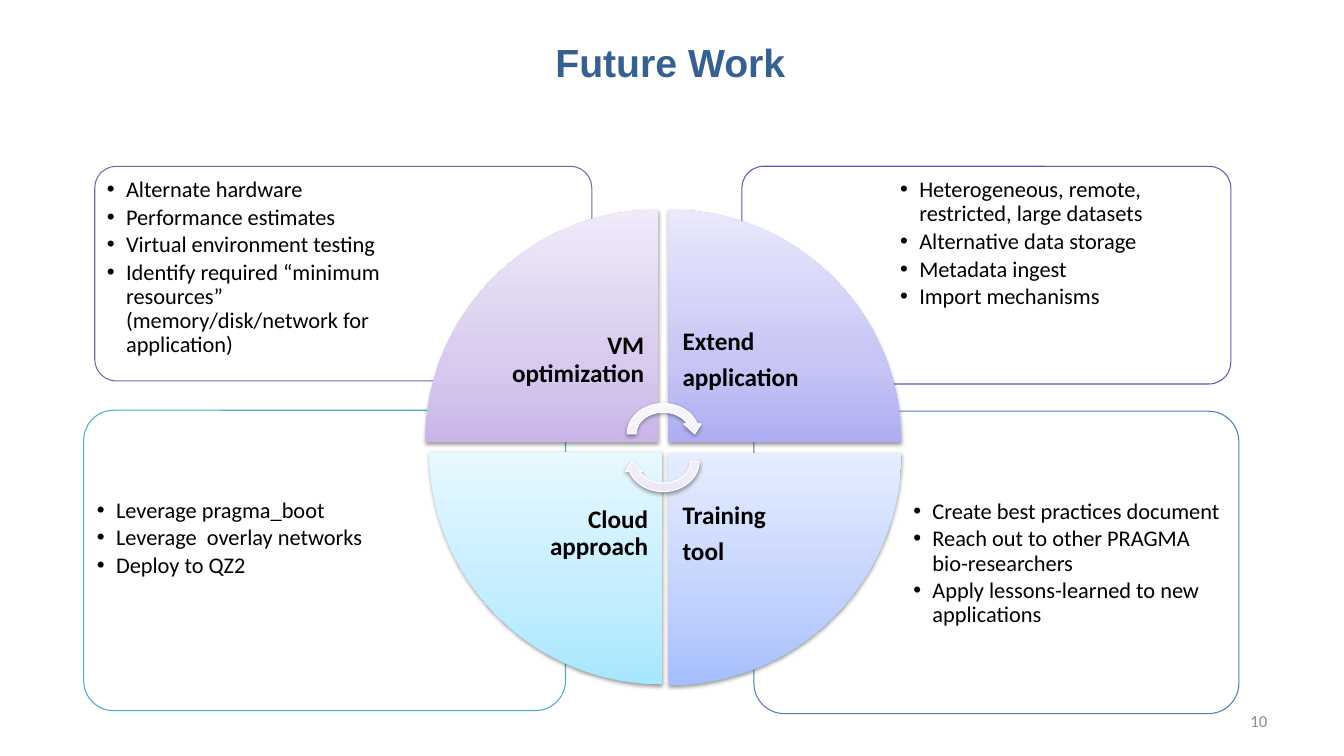
from dataclasses import dataclass

from lxml import etree
from pptx import Presentation, util as u
from pptx.dml.color import RGBColor
from pptx.enum import shapes, text
from pptx.oxml import parse_xml
from pptx.oxml.ns import nsdecls, qn

SHAPE, ALIGN, ANCHOR = shapes.MSO_SHAPE, text.PP_ALIGN, text.MSO_ANCHOR


@dataclass(frozen=True)
class Theme:
    heading_font: str = "Arial"
    body_font: str = "Calibri"
    title_size: float = 28
    label_size: float = 18
    bullet_size: float = 16
    number_size: float = 12
    title: str = "376092"
    ink: str = "000000"
    muted: str = "8C8C8C"
    white: str = "FFFFFF"
    arrow: tuple = ("EBE5F6", "F0ECF8", "F9F7FD")


THEME = Theme()
WEDGE_W, WEDGE_H = 17.33, 30.8
LABEL_W, LABEL_H = 12.23, 21.73


def write(tf, lines, size, color=THEME.ink, font=THEME.body_font, bold=False,
          align=ALIGN.LEFT, anchor=ANCHOR.TOP, inset=None, spacing=None, after=0, bullet=False):
    """Fill a text frame with one paragraph per line."""
    tf.word_wrap = True
    tf.vertical_anchor = anchor
    if inset is not None:
        tf.margin_left = tf.margin_right = tf.margin_top = tf.margin_bottom = u.Inches(inset)
    for i, line in enumerate(lines):
        p = tf.add_paragraph() if i else tf.paragraphs[0]
        if bullet:
            pPr = p._p.get_or_add_pPr()
            indent = u.Inches(0.19)
            pPr.set("marL", str(indent))
            pPr.set("indent", str(-indent))
            etree.SubElement(pPr, qn("a:buFont"), typeface="Arial")
            etree.SubElement(pPr, qn("a:buChar"), char="•")
        p.alignment = align
        p.space_after = u.Pt(after)
        if spacing:
            p.line_spacing = spacing
        r = p.add_run()
        r.text = line
        r.font.name, r.font.size, r.font.bold = font, u.Pt(size), bold
        r.font.color.rgb = RGBColor.from_string(color)


class Deck:
    """Holds the theme and current slide; places are percent of slide width and height."""

    def __init__(self, theme):
        self.theme = theme
        self.prs = Presentation()
        self.prs.slide_width, self.prs.slide_height = u.Inches(13.33), u.Inches(7.5)
        self.s = self.prs.slides.add_slide(self.prs.slide_layouts[5])

    def place(self, x, y, w, h):
        col, row = self.prs.slide_width / 100, self.prs.slide_height / 100
        return round(x * col), round(y * row), round(w * col), round(h * row)

    def title(self, words, at):
        sp = self.s.shapes.title
        sp.left, sp.top, sp.width, sp.height = self.place(*at)
        write(sp.text_frame, [words], self.theme.title_size, self.theme.title,
              self.theme.heading_font, bold=True, align=ALIGN.CENTER, anchor=ANCHOR.MIDDLE)

    def text(self, lines, at, size, **style):
        write(self.s.shapes.add_textbox(*self.place(*at)).text_frame, lines, size, **style)

    def panel(self, at, line):
        sp = self.s.shapes.add_shape(SHAPE.ROUNDED_RECTANGLE, *self.place(*at))
        sp.adjustments[0] = 0.1
        sp.shadow.inherit = False
        sp.fill.solid()
        sp.fill.fore_color.rgb = RGBColor.from_string(self.theme.white)
        color = sp._element.spPr.find(".//" + qn("a:srgbClr"))
        etree.SubElement(color, qn("a:alpha"), val="90000")
        sp.line.color.rgb = RGBColor.from_string(line)
        sp.line.width = u.Pt(0.75)

    def glossy(self, kind, at, colors, rotation=0, line=None):
        """Add a shape with an upright gradient and a soft shadow below it."""
        sp = self.s.shapes.add_shape(kind, *self.place(*at))
        sp.rotation = rotation
        if line:
            sp.line.color.rgb = RGBColor.from_string(line)
            sp.line.width = u.Pt(0.75)
        else:
            sp.line.fill.background()
        stops = "".join(f'<a:gs pos="{pos}"><a:srgbClr val="{c}"/></a:gs>'
                        for pos, c in zip((0, 35000, 100000), colors))
        ln = sp._element.spPr.find(qn("a:ln"))
        ln.addprevious(parse_xml(
            f'<a:gradFill {nsdecls("a")} rotWithShape="0"><a:gsLst>{stops}</a:gsLst>'
            '<a:lin ang="16200000" scaled="0"/></a:gradFill>'))
        ln.addnext(parse_xml(
            f'<a:effectLst {nsdecls("a")}><a:outerShdw blurRad="{u.Pt(3.1)}" dist="{u.Pt(1.6)}" '
            f'dir="5400000" rotWithShape="0"><a:srgbClr val="{self.theme.ink}">'
            '<a:alpha val="38000"/></a:srgbClr></a:outerShdw></a:effectLst>'))

    def wedge(self, x, y, rotation, colors, label):
        """Add a quarter of the wheel, its label box set against the hub."""
        left, top = rotation in (0, 270), rotation in (0, 90)
        self.glossy(SHAPE.PIE_WEDGE, (x, y, WEDGE_W, WEDGE_H), colors, rotation)
        at = (x + (WEDGE_W - LABEL_W) * left, y + (WEDGE_H - LABEL_H) * top, LABEL_W, LABEL_H)
        self.text(label, at, self.theme.label_size, bold=True, anchor=ANCHOR.MIDDLE, inset=0.14,
                  align=ALIGN.RIGHT if left else ALIGN.LEFT, spacing=0.9, after=6.3)


# panel place, panel line, bullet place, bullets
PANELS = [
    ((56.1, 54.4, 36.08, 40), "537ABA", (67.43, 65.2, 24.3, 28.27),
     ["Create best practices document", "Reach out to other PRAGMA bio-researchers",
      "Apply lessons-learned to new applications"]),
    ((6.23, 54.27, 35.85, 39.73), "4BACC6", (6.68, 65.07, 24.08, 28),
     ["Leverage pragma_boot", "Leverage  overlay networks", "Deploy to QZ2"]),
    ((55.2, 22, 36.38, 28.8), "5F5BAE", (66.45, 22.67, 24.75, 20.27),
     ["Heterogeneous, remote, restricted, large datasets", "Alternative data storage",
      "Metadata ingest", "Import mechanisms"]),
    ((7.05, 22, 36.98, 28.4), "8064A2", (7.43, 22.67, 25.2, 20.13),
     ["Alternate hardware", "Performance estimates", "Virtual environment testing",
      "Identify required “minimum resources” (memory/disk/network for application)"]),
]

# left, top, rotation, gradient, label
WEDGES = [
    (31.65, 27.73, 0, ("C9B5E8", "D8CBEE", "F0EAF9"), ["VM optimization"]),
    (49.73, 27.73, 90, ("AFADF3", "C7C6F5", "E9E8FC"), ["Extend", "application"]),
    (49.73, 59.87, 180, ("A5BEFD", "C0D1FD", "E6EDFF"), ["Training", "tool"]),
    (31.95, 59.73, 270, ("A7E6FF", "C1EDFF", "E7F8FF"), ["Cloud approach"]),
]


def main():
    deck = Deck(THEME)
    deck.title("Future Work", (4.88, 2.27, 90, 11.73))
    for at, line, bullets_at, bullets in PANELS:
        deck.panel(at, line)
        deck.text(bullets, bullets_at, THEME.bullet_size, inset=0.07, spacing=0.9,
                  after=2.4, bullet=True)
    for wedge in WEDGES:
        deck.wedge(*wedge)
    for y, rotation in ((52.8, 0), (56.4, 180)):
        deck.glossy(SHAPE.CIRCULAR_ARROW, (46.35, y, 6, 9.2), THEME.arrow, rotation, THEME.white)
    deck.text(["10"], (71.7, 92.67, 23.33, 5.33), THEME.number_size, color=THEME.muted,
              align=ALIGN.RIGHT, anchor=ANCHOR.MIDDLE)
    deck.prs.save("out.pptx")


if __name__ == "__main__":
    main()
